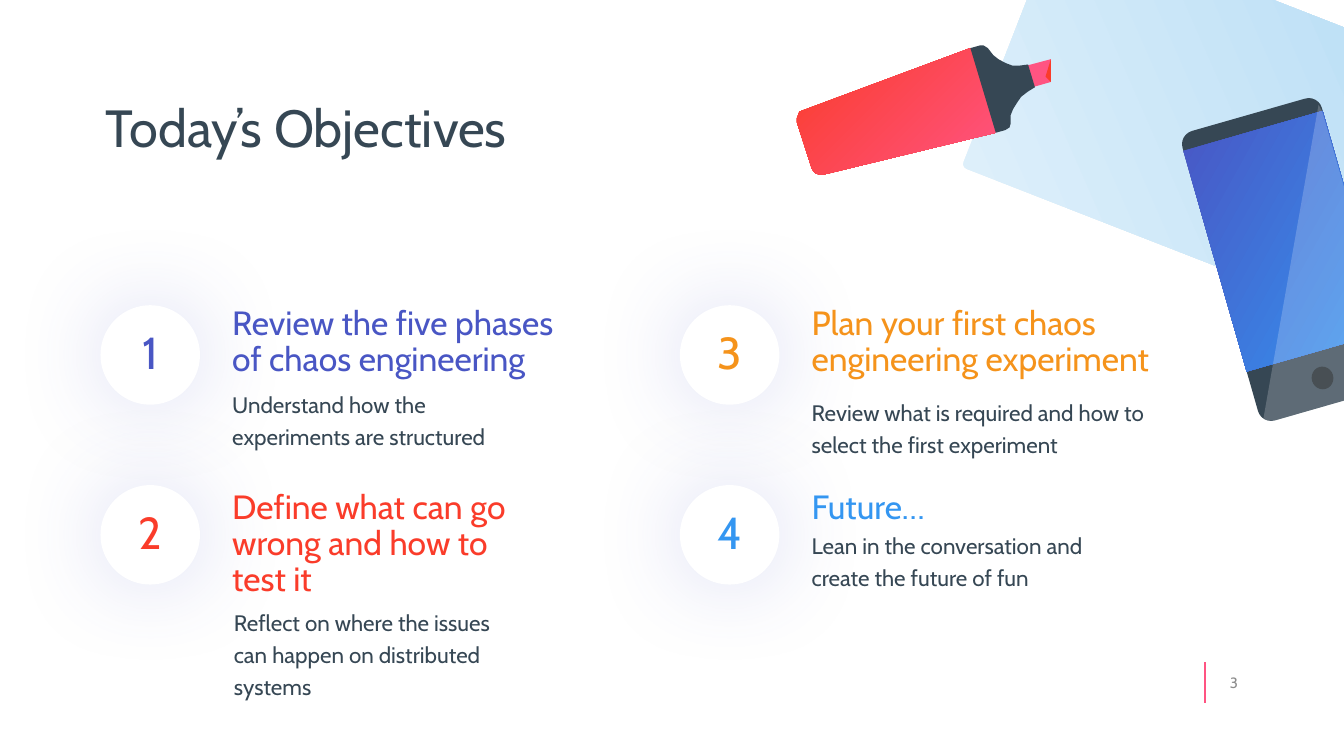
from lxml import etree
from pptx import Presentation
from pptx.dml.color import RGBColor
from pptx.enum.shapes import MSO_CONNECTOR, MSO_SHAPE
from pptx.enum.text import MSO_ANCHOR, PP_ALIGN
from pptx.oxml.ns import qn
from pptx.util import Cm, Pt

OVAL, RECT, ROUND = MSO_SHAPE.OVAL, MSO_SHAPE.RECTANGLE, MSO_SHAPE.ROUNDED_RECTANGLE
TOP, MID, LOW = MSO_ANCHOR.TOP, MSO_ANCHOR.MIDDLE, MSO_ANCHOR.BOTTOM
LEFT, MIDDLE, RIGHT = PP_ALIGN.LEFT, PP_ALIGN.CENTER, PP_ALIGN.RIGHT
FONT = "Cabin"
DARK, WHITE, PINK, RED = "364754", "FFFFFF", "FF5482", "FA3C2A"
PURPLE, BLUE, ORANGE, GREY = "4956C4", "3496F1", "F5931B", "8C8C8C"

TITLE = "Today’s Objectives"
PAGE = "3"
# heading, colour, heading width, detail, detail box (shift, top, width, height)
GOALS = [
    ("Review the five phases of chaos engineering", PURPLE, 7.19,
     "Understand how the experiments are structured", (0, 7.16, 5.77, 1.6)),
    ("Define what can go wrong and how to test it", RED, 5.77,
     "Reflect on where the issues can happen on distributed systems",
     (0.03, 11.28, 5.77, 2)),
    ("Plan your first chaos engineering experiment", ORANGE, 7.19,
     "Review what is required and how to select the first experiment",
     (0, 7.32, 7.19, 1.6)),
    ("Future…", BLUE, 5.77,
     "Lean in the conversation and create the future of fun",
     (0, 9.83, 5.77, 1.6)),
]
ROWS = 2
DISC_X, DISC_Y, DISC = 1.9, 5.77, 1.88
HEAD_X, HEAD_Y = 4.14, 5.66
COL_GAP, DISC_GAP, HEAD_GAP = 10.95, 3.4, 3.48

TIP = [(19.86, 1.12), (19.86, 1.55), (19.51, 1.65), (19.41, 1.24)]
INK = [(19.86, 1.12), (19.86, 1.55), (19.76, 1.45)]
BARREL = [(18.34, 0.91), (18.82, 2.51), (15.57, 3.3), (15.49, 3.3),
          (15.42, 3.28), (15.37, 3.23), (15.34, 3.18), (15.06, 2.31),
          (15.06, 2.24), (15.09, 2.16), (15.11, 2.11), (15.19, 2.08)]
NECK = [(19.43, 1.22), (19.56, 1.65), (19.43, 1.73), (19.3, 1.83),
        (19.23, 1.93), (19.15, 2.06), (19.1, 2.18), (19.1, 2.34),
        (19.08, 2.41), (19, 2.46), (18.82, 2.51), (18.34, 0.91),
        (18.52, 0.86), (18.59, 0.86), (18.67, 0.91), (18.77, 1.04),
        (18.87, 1.12), (19, 1.19), (19.13, 1.24), (19.28, 1.24)]
MARKER = [(TIP, PINK), (BARREL, (RED, PINK)), (NECK, DARK), (INK, RED)]
GLARE = [(24.92, 1.98), (24.99, 2.11), (26.39, 6.96), (26.37, 7.19),
         (26.21, 7.34), (24.08, 7.95), (23.95, 7.95), (23.88, 7.9)]
TILT = 344
PHONE = [
    (ROUND, (23.01, 2.06, 2.74, 5.69), DARK, 0.094),
    (RECT, (22.91, 2.39, 2.74, 4.34), (PURPLE, BLUE), None),
    (OVAL, (24.79, 6.93, 0.41, 0.43), "1B232A", None),
]

deck = Presentation()
deck.slide_width, deck.slide_height = Cm(25.4), Cm(14.29)
slide = deck.slides.add_slide(deck.slide_layouts[6])
shapes = slide.shapes


def rgb(code):
    return RGBColor.from_string(code)


def paint(shape, fill):
    """Fill with one colour, or with a pair as a diagonal gradient."""
    if isinstance(fill, str):
        shape.fill.solid()
        shape.fill.fore_color.rgb = rgb(fill)
    else:
        shape.fill.gradient()
        shape.fill.gradient_angle = 315
        for stop, code, place in zip(shape.fill.gradient_stops, fill, (0, 1)):
            stop.color.rgb = rgb(code)
            stop.position = place
    shape.line.fill.background()
    shape.shadow.inherit = False
    return shape


def preset(kind, box, fill, turn=0, corner=None):
    shape = paint(shapes.add_shape(kind, *map(Cm, box)), fill)
    shape.rotation = turn
    if corner is not None:
        shape.adjustments[0] = corner
    return shape


def outline(points, fill):
    start, *rest = [(Cm(x), Cm(y)) for x, y in points]
    pen = shapes.build_freeform(*start)
    pen.add_line_segments(rest, close=True)
    return paint(pen.convert_to_shape(), fill)


def fade(color, share):
    etree.SubElement(color, qn("a:alpha"), val=str(share * 1000))


def glow(shape):
    """Add a soft, centred purple shadow."""
    effects = shape._element.spPr.find(qn("a:effectLst"))
    outer = etree.SubElement(effects, qn("a:outerShdw"), blurRad=str(Pt(50)),
                             dist="0", dir="0", algn="ctr", rotWithShape="0")
    fade(etree.SubElement(outer, qn("a:srgbClr"), val=PURPLE), 20)


def write(shape, text, size, color, align=LEFT, anchor=TOP, pitch=0.9, before=0):
    frame = shape.text_frame
    frame.word_wrap = True
    frame.vertical_anchor = anchor
    para = frame.paragraphs[0]
    para.text = text
    para.alignment = align
    para.line_spacing = pitch
    para.space_before = Pt(before)
    para.font.name, para.font.size = FONT, Pt(size)
    para.font.color.rgb = rgb(color)


def label(box, *args, **style):
    write(shapes.add_textbox(*map(Cm, box)), *args, **style)


rule = shapes.add_connector(MSO_CONNECTOR.STRAIGHT,
                            Cm(22.78), Cm(13.28), Cm(22.78), Cm(12.52))
rule.line.color.rgb = rgb(PINK)
rule.line.width = Pt(1)
etree.SubElement(rule._element.spPr, qn("a:effectLst"))

# Every disc lies below every text, since the glows reach far.
for i, (_, color, *_) in reversed(list(enumerate(GOALS))):
    col, row = divmod(i, ROWS)
    disc = preset(OVAL, (DISC_X + col * COL_GAP, DISC_Y + row * DISC_GAP,
                         DISC, DISC), WHITE)
    glow(disc)
    write(disc, str(i + 1), 24, color, MIDDLE, MID, before=7.5)

label((1.75, 0.36, 11.1, 2.77), TITLE, 28, DARK, anchor=LOW)
for i, (head, color, width, detail, (shift, top, wide, high)) in enumerate(GOALS):
    col, row = divmod(i, ROWS)
    left = HEAD_X + col * COL_GAP
    label((left, HEAD_Y + row * HEAD_GAP, width, 0.97), head, 18, color, before=7.5)
    label((left + shift, top, wide, high), detail, 12, DARK, pitch=1.2, before=7.5)
label((22.28, 12.52, 1.37, 0.76), PAGE, 8, GREY, RIGHT, MID, pitch=1)

preset(ROUND, (19.91, -1.5, 5.08, 7.19), ("E1F1FB", "B7DDF5"), 291.3, 0.019)
for points, fill in MARKER:
    outline(points, fill)
for kind, box, fill, corner in PHONE:
    preset(kind, box, fill, TILT, corner)
glare = outline(GLARE, WHITE)
fade(glare._element.spPr.find(qn("a:solidFill"))[0], 20)

deck.save("out.pptx")
